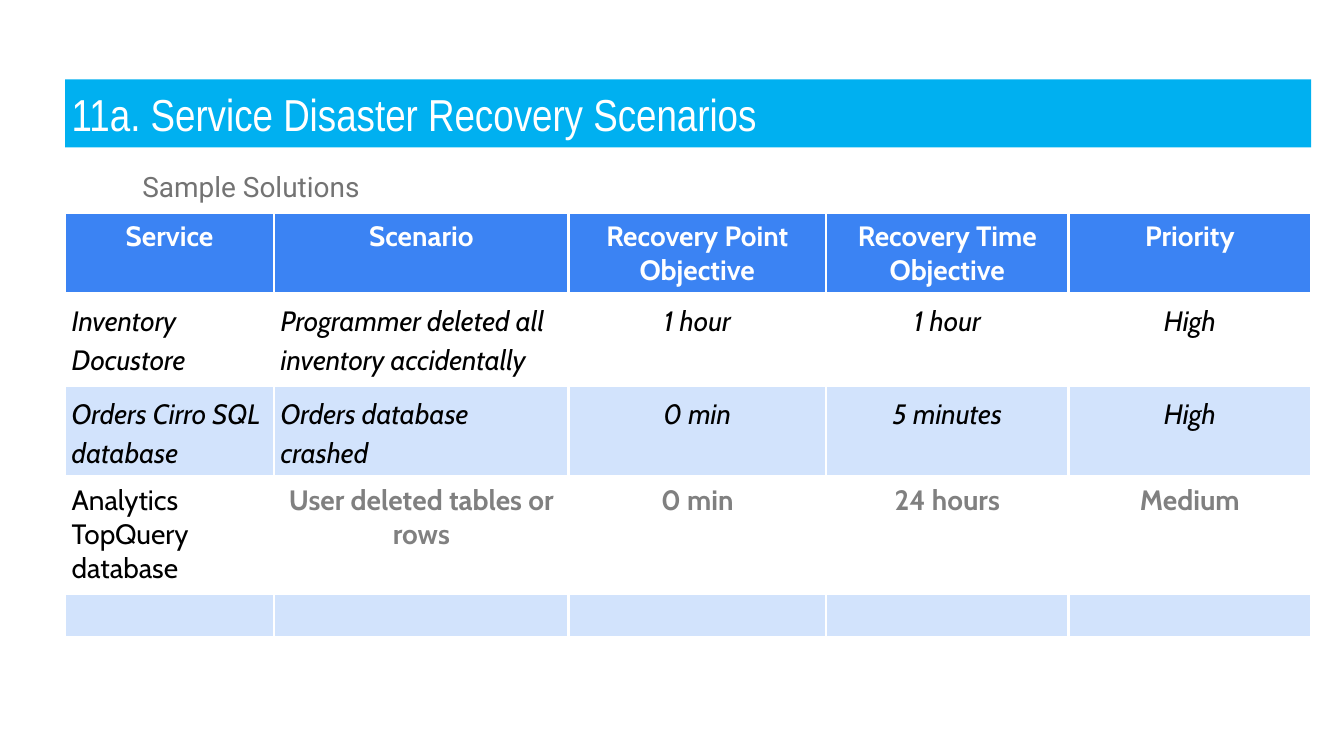
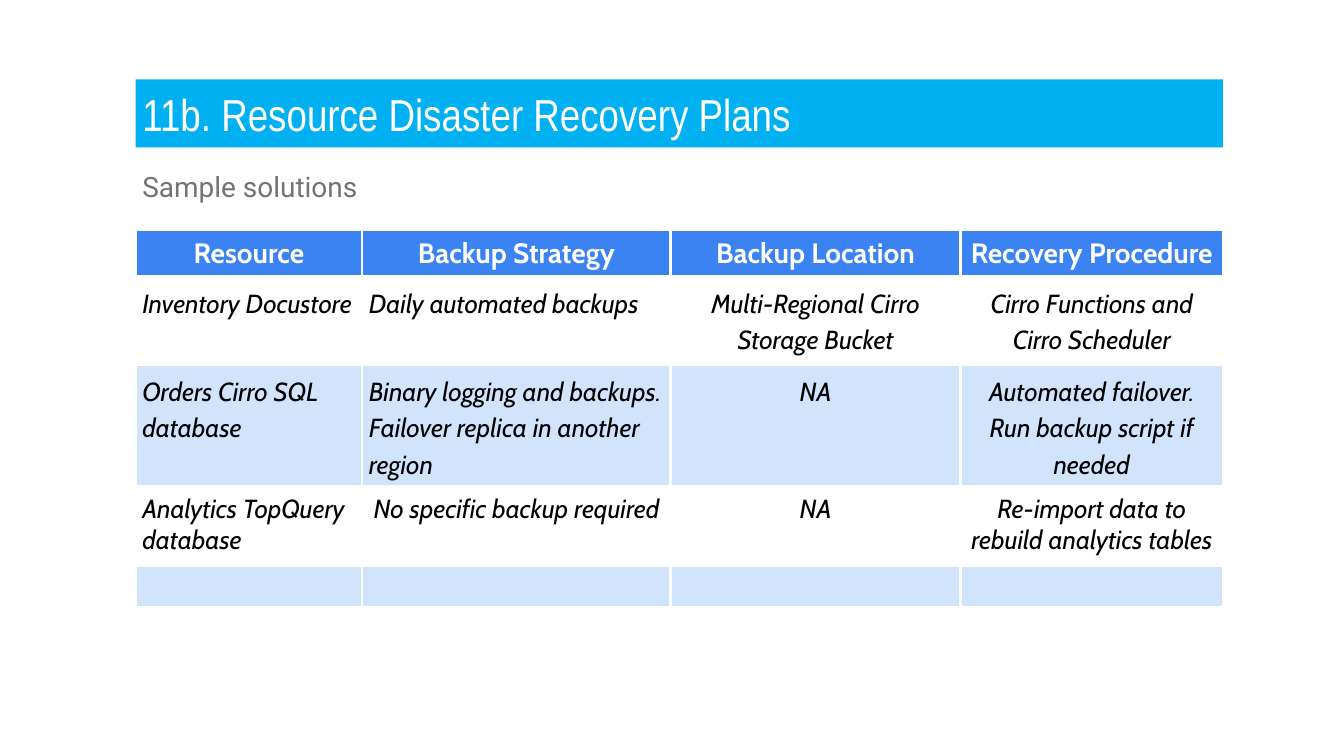
from dataclasses import dataclass

from lxml import etree
from pptx import Presentation
from pptx.dml.color import RGBColor
from pptx.enum.shapes import MSO_SHAPE
from pptx.enum.text import MSO_ANCHOR, PP_ALIGN
from pptx.oxml.ns import qn
from pptx.util import Cm, Pt

RECTANGLE = MSO_SHAPE.RECTANGLE
MIDDLE = MSO_ANCHOR.MIDDLE
TOP = MSO_ANCHOR.TOP
LEFT = PP_ALIGN.LEFT
CENTER = PP_ALIGN.CENTER


@dataclass(frozen=True)
class Theme:
    band: str = "00B0F0"
    header: str = "3B83F3"
    stripe: str = "D2E3FC"
    white: str = "FFFFFF"
    black: str = "000000"
    gray: str = "808080"
    subtitle: str = "737373"
    title_font: str = "Arial Narrow"
    subtitle_font: str = "Roboto"
    table_font: str = "Cabin"
    title_size: int = 48
    text_size: int = 30
    small_size: int = 28
    border: int = 3
    spacing: float = 1.15
    inset: float = 0.25


THEME = Theme()
BORDERS = ("a:lnL", "a:lnR", "a:lnT", "a:lnB")
EDGES = ("margin_left", "margin_top", "margin_right", "margin_bottom")


@dataclass(frozen=True)
class Box:
    left: float
    top: float
    width: float
    height: float

    def lengths(self):
        return [Cm(value) for value in (self.left, self.top, self.width, self.height)]


def write_text(frame, text, font=THEME.table_font, size=THEME.text_size, color=THEME.black,
               bold=False, italic=False, align=LEFT, spacing=None, after=None):
    frame.word_wrap = True
    for index, line in enumerate(text.split("\n")):
        para = frame.add_paragraph() if index else frame.paragraphs[0]
        para.alignment = align
        if spacing:
            para.line_spacing = spacing
        if after:
            para.space_after = Pt(after)
        span = para.add_run()
        span.text = line
        span.font.name = font
        span.font.size = Pt(size)
        span.font.bold = bold
        span.font.italic = italic
        span.font.color.rgb = RGBColor.from_string(color)


def set_insets(holder):
    for edge in EDGES:
        setattr(holder, edge, Cm(THEME.inset))


def draw_title(page, box, title):
    band = page.shapes.add_shape(RECTANGLE, *box.lengths())
    band.shadow.inherit = False
    band.fill.solid()
    band.fill.fore_color.rgb = RGBColor.from_string(THEME.band)
    band.line.fill.background()
    frame = band.text_frame
    set_insets(frame)
    frame.vertical_anchor = MIDDLE
    write_text(frame, title, font=THEME.title_font, size=THEME.title_size, color=THEME.white)


def draw_subtitle(page, box, subtitle):
    frame = page.shapes.add_textbox(*box.lengths()).text_frame
    set_insets(frame)
    write_text(frame, subtitle, font=THEME.subtitle_font, color=THEME.subtitle,
               spacing=THEME.spacing, after=16)


def style_cell(cell, fill):
    set_insets(cell)
    cell.vertical_anchor = TOP
    properties = cell._tc.get_or_add_tcPr()
    for border in BORDERS:
        line = etree.SubElement(properties, qn(border), w=str(Pt(THEME.border)))
        solid = etree.SubElement(line, qn("a:solidFill"))
        etree.SubElement(solid, qn("a:srgbClr"), val=THEME.white)
    if fill:
        cell.fill.solid()
        cell.fill.fore_color.rgb = RGBColor.from_string(fill)
    else:
        cell.fill.background()


def draw_table(page, box, columns, heights, records, formats):
    table = page.shapes.add_table(len(heights), len(columns), *box.lengths()).table
    table.first_row = False
    table.horz_banding = False
    for column, width in zip(table.columns, columns):
        column.width = Cm(width)
    for row, height in zip(table.rows, heights):
        row.height = Cm(height)
    fills = [THEME.header, None, THEME.stripe, None, THEME.stripe, None]
    for row, fill in zip(table.rows, fills):
        for cell in row.cells:
            style_cell(cell, fill)
    for row_index, record in enumerate(records):
        for column_index, text in enumerate(record):
            write_text(table.cell(row_index, column_index).text_frame, text,
                       **formats(row_index, column_index))


def header_format():
    return dict(color=THEME.white, bold=True, align=CENTER)


def body_format(row, column, size):
    left_columns = 1 if row == 3 else 2
    return dict(size=size, italic=True, align=LEFT if column < left_columns else CENTER,
                spacing=None if row == 3 else THEME.spacing)


def scenario_format(row, column):
    if row == 0:
        return header_format()
    style = body_format(row, column, THEME.text_size)
    if row == 3:
        style["italic"] = False
        if column:
            style.update(color=THEME.gray, bold=True)
    return style


def plan_format(row, column):
    return body_format(row, column, THEME.small_size) if row else header_format()


def draw_page(deck, title, subtitle, left, table_top, columns, heights, records, formats):
    page = deck.slides.add_slide(deck.slide_layouts[6])
    width = sum(columns)
    draw_title(page, Box(left, 3, width, 2.57), title)
    draw_subtitle(page, Box(5.13, 5.97, 37.34, 2.03), subtitle)
    draw_table(page, Box(left, table_top, width, sum(heights)),
               columns, heights, records, formats)


SCENARIOS = [
    ["Service", "Scenario", "Recovery Point Objective", "Recovery Time Objective", "Priority"],
    ["Inventory Docustore", "Programmer deleted all inventory accidentally",
     "1 hour", "1 hour", "High"],
    ["Orders Cirro SQL database", "Orders database crashed", "0 min", "5 minutes", "High"],
    ["Analytics TopQuery database", "User deleted tables or rows",
     "0 min", "24 hours", "Medium"],
]

PLANS = [
    ["Resource", "Backup Strategy", "Backup Location", "Recovery Procedure"],
    ["Inventory Docustore", "Daily automated backups",
     "Multi-Regional Cirro Storage Bucket", "Cirro Functions and Cirro Scheduler"],
    ["Orders Cirro SQL database",
     "Binary logging and backups.\nFailover replica in another region",
     "NA", "Automated failover.\nRun backup script if needed"],
    ["Analytics TopQuery database", "No specific backup required",
     "NA", "Re-import data to rebuild analytics tables"],
]


def main():
    deck = Presentation()
    deck.slide_width = Cm(50.8)
    deck.slide_height = Cm(28.58)
    draw_page(deck, "11a. Service Disaster Recovery Scenarios", "Sample Solutions",
              left=2.46, table_top=8.03, columns=[7.9, 11.13, 9.73, 9.17, 9.17],
              heights=[2.99, 3.52, 3.33, 4.42, 1.66, 3.2],
              records=SCENARIOS, formats=scenario_format)
    draw_page(deck, "11b. Resource Disaster Recovery Plans", "Sample solutions",
              left=5.13, table_top=8.69, columns=[8.56, 11.66, 10.95, 9.93],
              heights=[1.7, 3.33, 4.5, 2.99, 1.59, 5.45],
              records=PLANS, formats=plan_format)
    deck.save("out.pptx")


if __name__ == "__main__":
    main()
